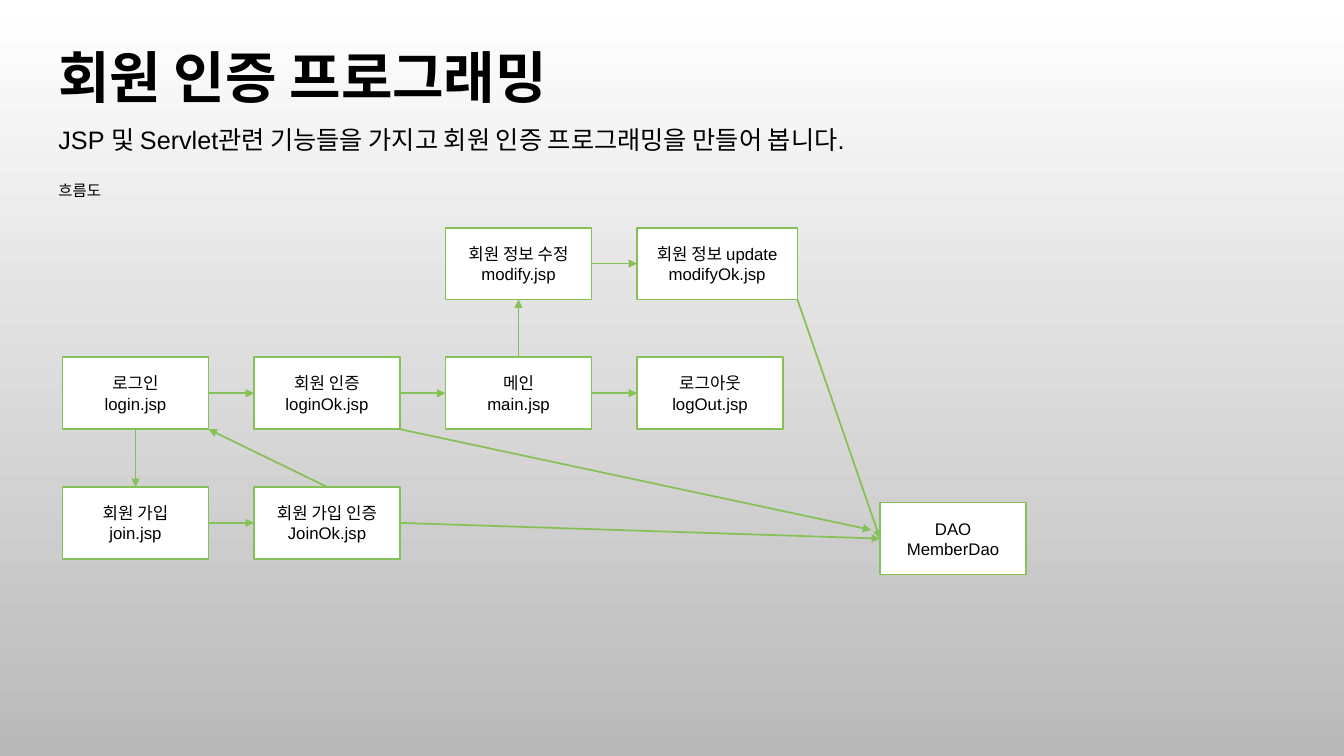
"""Build the member authentication flow slide."""
from dataclasses import dataclass

from lxml import etree
from pptx import Presentation
from pptx.dml.color import RGBColor
from pptx.enum import shapes, text
from pptx.oxml import ns
from pptx.util import Pt


@dataclass(frozen=True)
class Theme:
    font: str = "Arial"
    ink: RGBColor = RGBColor(0, 0, 0)
    paper: RGBColor = RGBColor(255, 255, 255)
    shade: RGBColor = RGBColor(0xB9, 0xB9, 0xB9)
    green: RGBColor = RGBColor(0x86, 0xC1, 0x57)
    line_width: float = 1.25
    title_size: int = 40
    subtitle_size: int = 18
    box_size: int = 12
    label_size: int = 11


SITES = {(0.5, 0): 0, (0, 0.5): 1, (0.5, 1): 2, (1, 0.5): 3}
TOP, LEFT, BOTTOM, RIGHT = SITES
CORNER = (1, 1)


class FlowSlide:
    def __init__(self, slide, theme):
        self.slide = slide
        self.theme = theme

    def background(self):
        fill = self.slide.background.fill
        fill.gradient()
        fill.gradient_angle = 270
        for stop, color in zip(fill.gradient_stops, (self.theme.paper, self.theme.shade)):
            stop.color.rgb = color

    def set_words(self, frame, words, size, align, bold=False):
        frame.word_wrap = True
        frame.text = words
        for para in frame.paragraphs:
            para.alignment = align
            for span in para.runs:
                span.font.name = self.theme.font
                span.font.size = Pt(size)
                span.font.bold = bold
                span.font.color.rgb = self.theme.ink

    def heading(self, words, top, width, height, size, bold=False):
        box = self.slide.shapes.add_textbox(Pt(34.6), Pt(top), Pt(width), Pt(height))
        self.set_words(box.text_frame, words, size, text.PP_ALIGN.LEFT, bold)
        box.text_frame.auto_size = text.MSO_AUTO_SIZE.SHAPE_TO_FIT_TEXT

    def stroke(self, line):
        line.color.rgb = self.theme.green
        line.width = Pt(self.theme.line_width)

    def box(self, words, left, top, width=104.4, height=51.4):
        box = self.slide.shapes.add_shape(
            shapes.MSO_SHAPE.RECTANGLE, Pt(left), Pt(top), Pt(width), Pt(height))
        box.shadow.inherit = False
        box.fill.solid()
        box.fill.fore_color.rgb = self.theme.paper
        self.stroke(box.line)
        box.text_frame.vertical_anchor = text.MSO_ANCHOR.MIDDLE
        self.set_words(box.text_frame, words, self.theme.box_size, text.PP_ALIGN.CENTER)
        return box

    def arrow(self, source, start, target, end):
        points = [int(value) for box, (across, down) in ((source, start), (target, end))
                  for value in (box.left + across * box.width, box.top + down * box.height)]
        arrow = self.slide.shapes.add_connector(shapes.MSO_CONNECTOR.STRAIGHT, *points)
        if start in SITES:
            arrow.begin_connect(source, SITES[start])
        if end in SITES:
            arrow.end_connect(target, SITES[end])
        self.stroke(arrow.line)
        properties = arrow._element.spPr
        etree.SubElement(properties.find(ns.qn("a:ln")), ns.qn("a:tailEnd"), type="triangle")
        etree.SubElement(properties, ns.qn("a:effectLst"))


deck = Presentation()
deck.slide_width, deck.slide_height = Pt(960), Pt(540)
theme = Theme()
page = FlowSlide(deck.slides.add_slide(deck.slide_layouts[6]), theme)
page.background()

page.heading("회원 인증 프로그래밍", 26.6, 480, 55.4, theme.title_size, bold=True)
page.heading("JSP 및 Servlet관련 기능들을 가지고 회원 인증 프로그래밍을 만들어 봅니다.",
             85, 688, 29, theme.subtitle_size)
page.heading("흐름도", 126, 802, 21, theme.label_size)

columns = [44.6 + 136.8 * index for index in range(4)]
rows = [162.6 + 92.6 * index for index in range(3)]
steps = {
    "login": ("로그인\nlogin.jsp", 0, 1),
    "login_ok": ("회원 인증\nloginOk.jsp", 1, 1),
    "main": ("메인\nmain.jsp", 2, 1),
    "logout": ("로그아웃\nlogOut.jsp", 3, 1),
    "join": ("회원 가입\njoin.jsp", 0, 2),
    "join_ok": ("회원 가입 인증\nJoinOk.jsp", 1, 2),
    "modify": ("회원 정보 수정\nmodify.jsp", 2, 0),
}
boxes = {name: page.box(words, columns[column], rows[row])
         for name, (words, column, row) in steps.items()}
boxes["modify_ok"] = page.box("회원 정보 update\nmodifyOk.jsp", columns[3], rows[0], width=114.6)
boxes["dao"] = page.box("DAO\nMemberDao", 628.6, 359)

for source, start, target, end in (
    ("login", RIGHT, "login_ok", LEFT),
    ("login_ok", RIGHT, "main", LEFT),
    ("main", RIGHT, "logout", LEFT),
    ("login", BOTTOM, "join", TOP),
    ("join", RIGHT, "join_ok", LEFT),
    ("join_ok", TOP, "login", CORNER),
    ("main", TOP, "modify", BOTTOM),
    ("modify", RIGHT, "modify_ok", LEFT),
    ("modify_ok", CORNER, "dao", LEFT),
    ("join_ok", RIGHT, "dao", LEFT),
    ("login_ok", CORNER, "dao", (-0.06, 0.38)),
):
    page.arrow(boxes[source], start, boxes[target], end)

deck.save("out.pptx")
